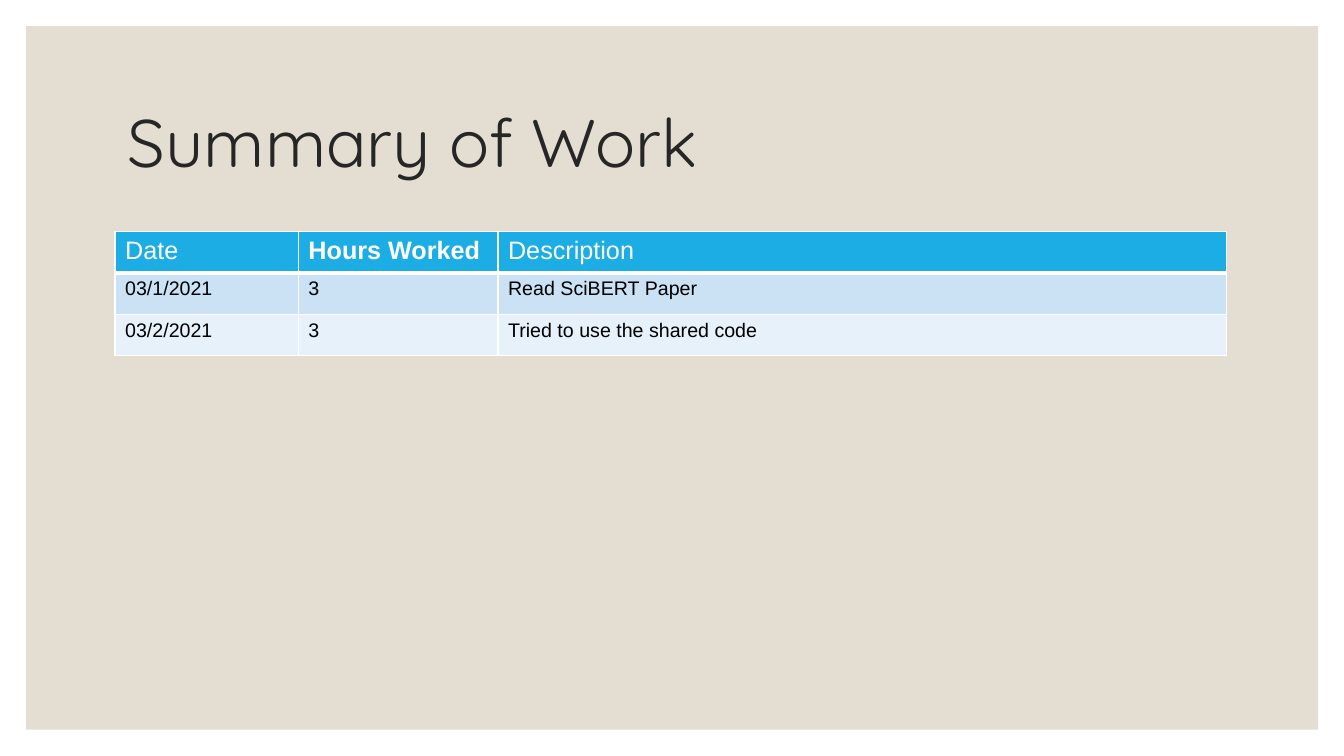
from pptx import Presentation
from pptx.dml.color import RGBColor
from pptx.enum.shapes import MSO_SHAPE as Shape
from pptx.enum.text import MSO_ANCHOR as Anchor, PP_ALIGN as Align
from pptx.oxml import parse_xml
from pptx.oxml.ns import nsdecls
from pptx.util import Cm, Pt


def color(value):
    return RGBColor.from_string(value)


def write(frame, text, size, ink, font="Arial", bold=False, spacing=1.0):
    paragraph = frame.paragraphs[0]
    paragraph.alignment = Align.LEFT
    paragraph.line_spacing = spacing
    run = paragraph.add_run()
    run.text = text
    run.font.size = Pt(size)
    run.font.name = font
    run.font.bold = bold
    run.font.color.rgb = color(ink)


deck = Presentation()
deck.slide_width, deck.slide_height = Cm(33.87), Cm(19.05)
slide = deck.slides.add_slide(deck.slide_layouts[5])

# Title
title = slide.shapes.title
title.left, title.top, title.width, title.height = Cm(2.97), Cm(1.78), Cm(27.94), Cm(3.81)
title.text_frame.vertical_anchor = Anchor.MIDDLE
title.text_frame.word_wrap = True
write(title.text_frame, "Summary of Work", 48, "262626", font="Quicksand", spacing=0.9)

# Beige panel behind the title
panel = slide.shapes.add_shape(Shape.RECTANGLE, Cm(0.66), Cm(0.66), Cm(32.56), Cm(17.73))
panel.shadow.inherit = False
panel.fill.solid()
panel.fill.fore_color.rgb = color("E3DED1")
panel.line.fill.background()
title.element.addprevious(panel.element)

# Work log
work_log = [
    ("Date", "Hours Worked", "Description"),
    ("03/1/2021", "3", "Read SciBERT Paper"),
    ("03/2/2021", "3", "Tried to use the shared code"),
]
column_widths = [4.62, 5.03, 18.36]
row_height = 1.04
row_fills = ["1CADE4", "CBE2F5", "E7F1FA"]

table = slide.shapes.add_table(
    len(work_log), len(column_widths), Cm(2.9), Cm(5.84),
    Cm(sum(column_widths)), Cm(row_height * len(work_log))).table
for column, width in zip(table.columns, column_widths):
    column.width = Cm(width)

for r, entry in enumerate(work_log):
    table.rows[r].height = Cm(row_height)
    is_header = r == 0
    for c, text in enumerate(entry):
        cell = table.cell(r, c)
        write(cell.text_frame, text, 18 if is_header else 14,
              "FFFFFF" if is_header else "000000", bold=text == "Hours Worked")

        # White borders, thicker under the header
        border_widths = {"L": 1, "R": 1, "T": 3 if r == 1 else 1, "B": 3 if is_header else 1}
        properties = cell._tc.get_or_add_tcPr()
        for side, width in border_widths.items():
            properties.append(parse_xml(
                f'<a:ln{side} {nsdecls("a")} w="{Pt(width)}"><a:solidFill>'
                f'<a:srgbClr val="FFFFFF"/></a:solidFill></a:ln{side}>'))
        cell.fill.solid()
        cell.fill.fore_color.rgb = color(row_fills[r])

deck.save("out.pptx")
